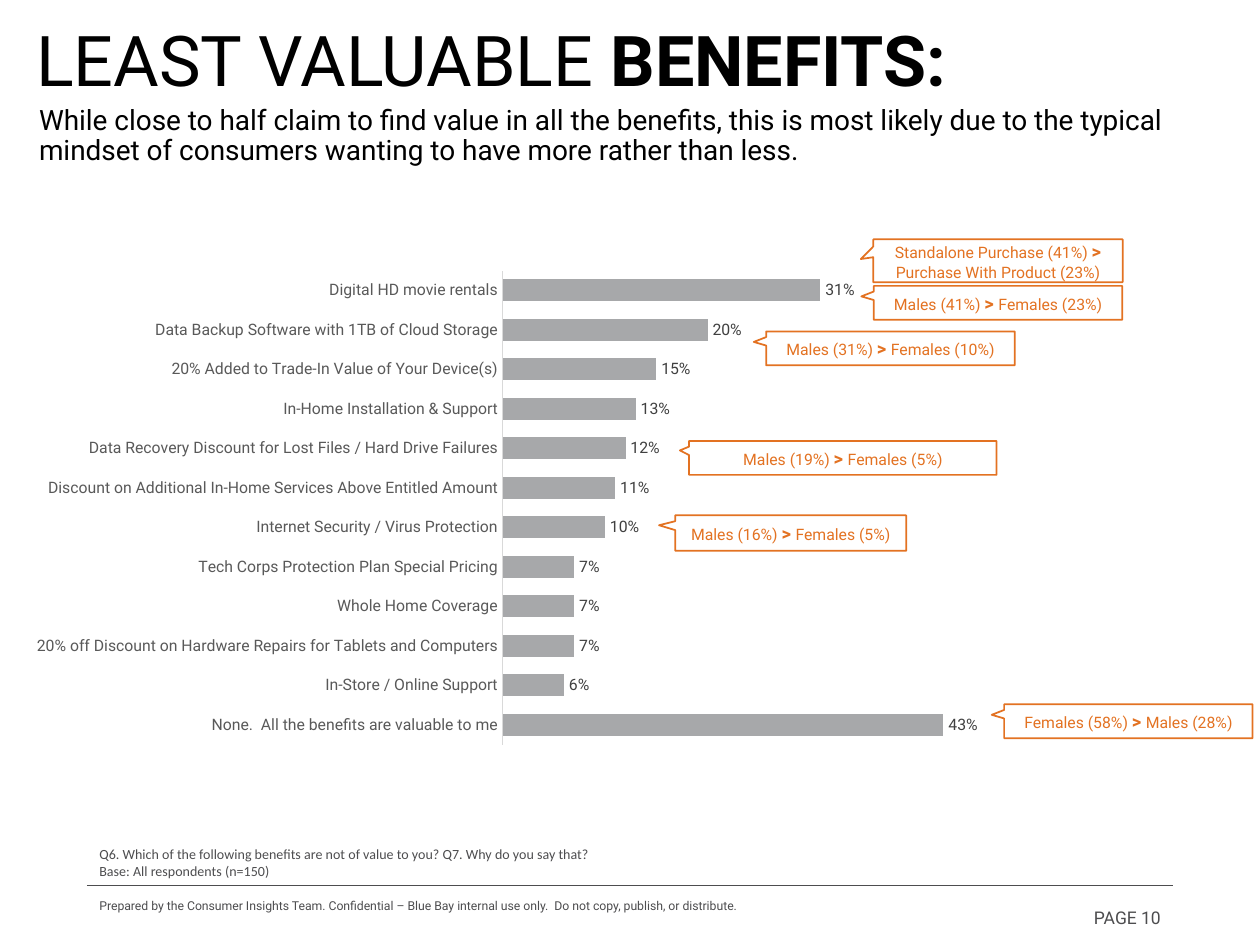
import dataclasses

import pptx
import pptx.chart.data
import pptx.dml.color
import pptx.enum.chart
import pptx.enum.shapes
import pptx.enum.text
import pptx.oxml
import pptx.oxml.ns
import pptx.util

Pt = pptx.util.Pt
Align = pptx.enum.text.PP_ALIGN
Anchor = pptx.enum.text.MSO_ANCHOR


@dataclasses.dataclass(frozen=True)
class Theme:
    font: str = "Roboto"
    note_font: str = "Calibri"
    black: str = "000000"
    footer: str = "4D4D4F"
    accent: str = "E37222"
    bar: str = "A7A8AA"
    axis: str = "D9D9D9"
    category: str = "595959"
    value: str = "404040"
    headline_size: float = 40
    title_size: float = 16
    label_size: float = 9
    sign_size: float = 10.5
    page_size: float = 10
    note_size: float = 8
    footer_size: float = 7


THEME = Theme()

BENEFITS = [
    ("Digital HD movie rentals", 0.31),
    ("Data Backup Software with 1TB of Cloud Storage", 0.20),
    ("20% Added to Trade-In Value of Your Device(s)", 0.15),
    ("In-Home Installation & Support", 0.13),
    ("Data Recovery Discount for Lost Files / Hard Drive Failures", 0.12),
    ("Discount on Additional In-Home Services Above Entitled Amount", 0.11),
    ("Internet Security / Virus Protection", 0.10),
    ("Tech Corps Protection Plan Special Pricing", 0.07),
    ("Whole Home Coverage", 0.07),
    ("20% off Discount on Hardware Repairs for Tablets and Computers", 0.07),
    ("In-Store / Online Support", 0.06),
    ("None.  All the benefits are valuable to me", 0.43),
]

# Higher group, lower group, box relative to the chart, pointer tip
CALLOUTS = [
    ("Males (16%)", "Females (5%)", (380, 145.5, 132, 20.2), (-0.57, -0.22)),
    ("Males (31%)", "Females (10%)", (432, 40.4, 142, 19.4), (-0.55, -0.19)),
    ("Males (19%)", "Females (5%)", (388, 103, 175.7, 19.4), (-0.53, -0.22)),
    ("Males (41%)", "Females (23%)", (493.5, 14.4, 142, 19.4), (-0.55, -0.19)),
    ("Females (58%)", "Males (28%)", (568, 253.5, 142, 19.4), (-0.55, -0.19)),
    ("Standalone Purchase (41%)", "Purchase With Product (23%)",
     (493.2, -12.2, 142.5, 24.5), (-0.55, -0.04)),
]


def color(value):
    return pptx.dml.color.RGBColor.from_string(value)


def format_font(font, size, fill, name=THEME.font, bold=False):
    font.size, font.name, font.bold = Pt(size), name, bold
    font.color.rgb = color(fill)


def add_run(paragraph, text, **style):
    run = paragraph.add_run()
    run.text = text
    format_font(run.font, **style)


def place(shape, box):
    shape.left, shape.top, shape.width, shape.height = map(Pt, box)


def add_text(slide, box, lines, align=Align.LEFT, anchor=Anchor.MIDDLE, **style):
    frame = slide.shapes.add_textbox(*map(Pt, box)).text_frame
    frame.word_wrap = True
    frame.vertical_anchor = anchor
    for index, line in enumerate(lines):
        paragraph = frame.add_paragraph() if index else frame.paragraphs[0]
        paragraph.alignment = align
        add_run(paragraph, line, **style)
    return frame


def add_header(slide, box):
    left, top, width, height = box
    # Headline
    style = dict(size=THEME.headline_size, fill=THEME.black)
    frame = add_text(slide, (left, top, 620, 52.5), ["LEAST VALUABLE "], **style)
    paragraph = frame.paragraphs[0]
    paragraph.line_spacing = 0.9
    add_run(paragraph, "BENEFITS:", bold=True, **style)
    # Title placeholder
    title = slide.shapes.title
    place(title, (left + 1.4, top + 49, width - 1.4, height - 49))
    frame = title.text_frame
    frame.auto_size = pptx.enum.text.MSO_AUTO_SIZE.NONE
    frame.word_wrap = True
    frame.vertical_anchor = Anchor.MIDDLE
    paragraph = frame.paragraphs[0]
    paragraph.alignment = Align.LEFT
    paragraph.line_spacing = 0.9
    add_run(paragraph, "While close to half claim to find value in all the benefits, "
            "this is most likely due to the typical mindset of consumers wanting "
            "to have more rather than less.", size=THEME.title_size, fill=THEME.black)


def set_plot_area(chart, **fractions):
    layout = pptx.oxml.parse_xml(
        f'<c:layout {pptx.oxml.ns.nsdecls("c")}><c:manualLayout>'
        '<c:layoutTarget val="inner"/><c:xMode val="edge"/><c:yMode val="edge"/>'
        + "".join(f'<c:{key} val="{value}"/>' for key, value in fractions.items())
        + "</c:manualLayout></c:layout>")
    plot_area = chart.plots[0]._element.getparent()
    for previous in plot_area.findall(pptx.oxml.ns.qn("c:layout")):
        plot_area.remove(previous)
    plot_area.insert(0, layout)


def add_benefit_chart(slide, box):
    data = pptx.chart.data.CategoryChartData(number_format="0%")
    data.categories = [name for name, share in BENEFITS]
    data.add_series("Series 1", [share for name, share in BENEFITS])
    chart = slide.shapes.add_chart(
        pptx.enum.chart.XL_CHART_TYPE.BAR_CLUSTERED, *map(Pt, box), data).chart
    chart.has_legend = chart.has_title = False
    format_font(chart.font, THEME.label_size, THEME.category)
    set_plot_area(chart, x=0.44, y=0.02, w=0.55, h=0.96)
    # Axes
    axis = chart.category_axis
    axis.reverse_order = True
    axis.major_tick_mark = pptx.enum.chart.XL_TICK_MARK.NONE
    axis.format.line.color.rgb = color(THEME.axis)
    axis.format.line.width = Pt(0.75)
    format_font(axis.tick_labels.font, THEME.label_size, THEME.category)
    scale = chart.value_axis
    scale.minimum_scale, scale.maximum_scale = 0, 0.6
    scale.has_major_gridlines = False
    scale.visible = False
    # Bars and their labels
    plot = chart.plots[0]
    plot.gap_width = 80
    plot.vary_by_categories = False
    fill = plot.series[0].format.fill
    fill.solid()
    fill.fore_color.rgb = color(THEME.bar)
    plot.has_data_labels = True
    labels = plot.data_labels
    labels.show_value = True
    labels.number_format, labels.number_format_is_linked = "0%", False
    labels.position = pptx.enum.chart.XL_LABEL_POSITION.OUTSIDE_END
    format_font(labels.font, THEME.label_size, THEME.value)


def add_callout(slide, box, higher, lower, tip):
    shape = slide.shapes.add_shape(
        pptx.enum.shapes.MSO_SHAPE.RECTANGULAR_CALLOUT, *map(Pt, box))
    shape.adjustments[0], shape.adjustments[1] = tip
    shape.shadow.inherit = False
    shape.fill.background()
    shape.line.color.rgb = color(THEME.accent)
    shape.line.width = Pt(1)
    frame = shape.text_frame
    frame.word_wrap = True
    frame.vertical_anchor = Anchor.MIDDLE
    paragraph = frame.paragraphs[0]
    paragraph.alignment = Align.CENTER
    add_run(paragraph, higher + " ", size=THEME.label_size, fill=THEME.accent)
    add_run(paragraph, "> ", size=THEME.sign_size, fill=THEME.accent, bold=True)
    add_run(paragraph, lower, size=THEME.label_size, fill=THEME.accent)


def add_findings(slide, box):
    add_benefit_chart(slide, box)
    for higher, lower, (x, y, width, height), tip in CALLOUTS:
        add_callout(slide, (box[0] + x, box[1] + y, width, height), higher, lower, tip)


def add_footer(slide, box):
    left, top, width, height = box
    rule = top + 26.6
    # Survey question and base
    add_text(slide, (left, top, width, 26.6),
             ["Q6. Which of the following benefits are not of value to you? "
              "Q7. Why do you say that?", "Base: All respondents (n=150)"],
             anchor=Anchor.TOP, size=THEME.note_size, fill=THEME.footer,
             name=THEME.note_font)
    # Rule
    line = slide.shapes.add_connector(
        pptx.enum.shapes.MSO_CONNECTOR.STRAIGHT,
        *map(Pt, (left, rule, left + width, rule)))
    line.line.color.rgb = color(THEME.footer)
    line.line.width = Pt(0.5)
    line._element.spPr.append(pptx.oxml.parse_xml(
        f'<a:effectLst {pptx.oxml.ns.nsdecls("a")}/>'))
    # Confidentiality line and page number
    add_text(slide, (left, rule, 459, 23),
             ["Prepared by the Consumer Insights Team. Confidential – Blue Bay "
              "internal use only.  Do not copy, publish, or distribute."],
             size=THEME.footer_size, fill=THEME.footer)
    add_text(slide, (left + width - 162, rule + 6.5, 162, 23), ["PAGE 10"],
             align=Align.RIGHT, size=THEME.page_size, fill=THEME.footer)


presentation = pptx.Presentation()
presentation.slide_width, presentation.slide_height = Pt(720), Pt(540)
slide = presentation.slides.add_slide(presentation.slide_layouts[5])
add_footer(slide, (49.7, 479.5, 620.6, 56))
add_findings(slide, (5.8, 149, 639.4, 282.2))
add_header(slide, (13.7, 10, 676, 87))
presentation.save("out.pptx")
